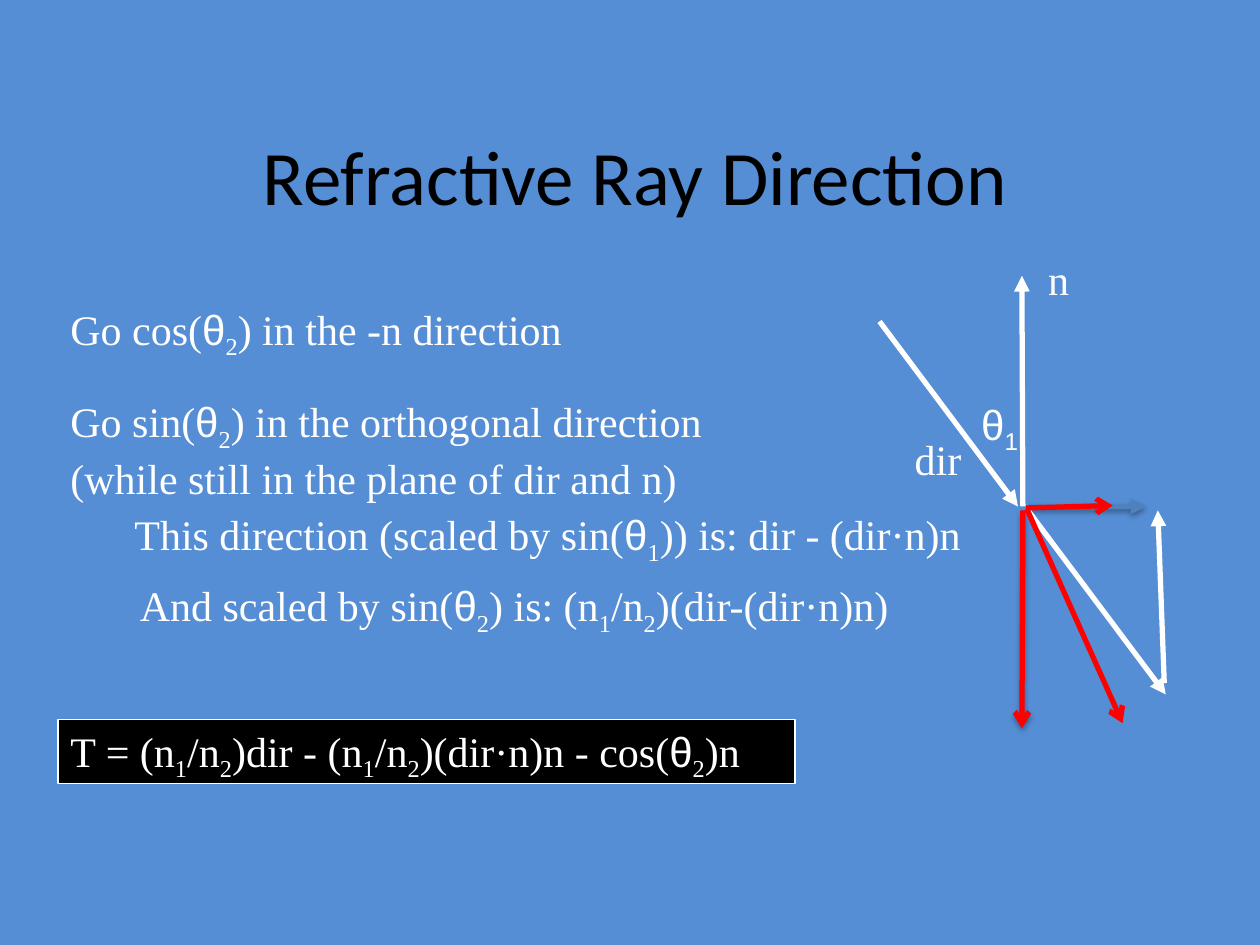
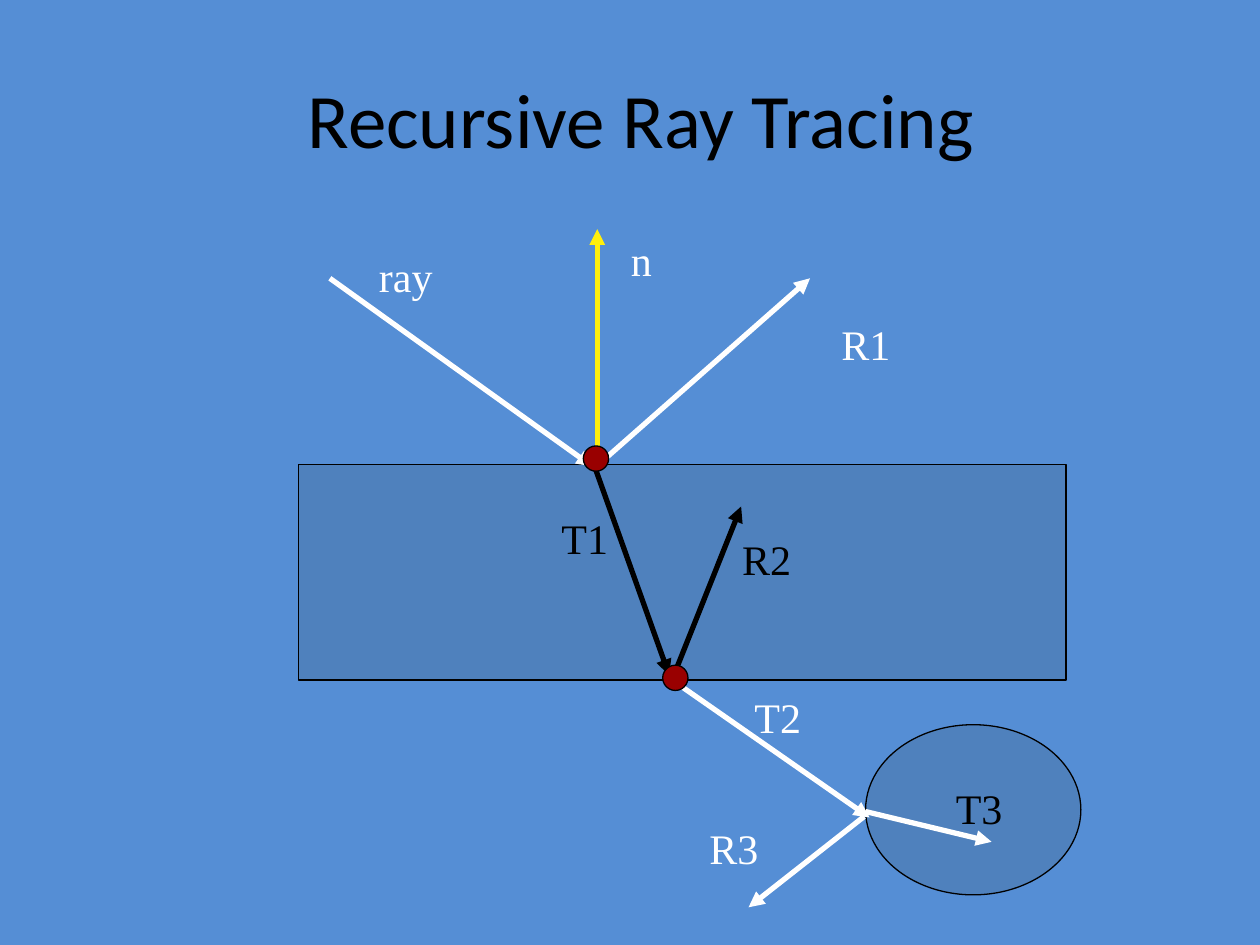
from lxml import etree
from pptx import Presentation
from pptx.dml.color import RGBColor
from pptx.enum.shapes import MSO_CONNECTOR, MSO_SHAPE
from pptx.enum.text import MSO_ANCHOR, PP_ALIGN
from pptx.oxml import parse_xml
from pptx.oxml.ns import nsdecls, qn
from pptx.util import Cm, Pt

STRAIGHT = MSO_CONNECTOR.STRAIGHT
RECT, OVAL = MSO_SHAPE.RECTANGLE, MSO_SHAPE.OVAL
LEFT, CENTER = PP_ALIGN.LEFT, PP_ALIGN.CENTER
TOP, MIDDLE = MSO_ANCHOR.TOP, MSO_ANCHOR.MIDDLE

BACKGROUND = RGBColor(0x55, 0x8E, 0xD5)
GLASS = RGBColor(0x4F, 0x81, 0xBD)
WHITE = RGBColor(0xFF, 0xFF, 0xFF)
BLACK = RGBColor(0x00, 0x00, 0x00)
RED = RGBColor(0xFF, 0x00, 0x00)
YELLOW = RGBColor(0xFF, 0xEF, 0x0C)
HIT_RED = RGBColor(0x99, 0x00, 0x00)

BODY_FONT, TITLE_FONT, SYMBOL_FONT = "Times New Roman", "Calibri", "Arial"
LINE_HEIGHT = 1.27

NO_EFFECT = f"<a:effectLst {nsdecls('a')}/>"
SOFT_SHADOW = (
    f"<a:effectLst {nsdecls('a')}>"
    '<a:outerShdw blurRad="40000" dist="23000" dir="5400000" rotWithShape="0">'
    '<a:srgbClr val="000000"><a:alpha val="35000"/></a:srgbClr>'
    "</a:outerShdw></a:effectLst>"
)


def add_text(slide, text, left, top, width, height=LINE_HEIGHT, *, size=24,
             font=BODY_FONT, color=WHITE, align=LEFT, anchor=TOP, wrap=True):
    """Add a text box; "_" lowers the next character, and θ gets the symbol font."""
    box = slide.shapes.add_textbox(Cm(left), Cm(top), Cm(width), Cm(height))
    frame = box.text_frame
    frame.word_wrap = wrap
    frame.vertical_anchor = anchor
    for index, line in enumerate(text.split("\n")):
        paragraph = frame.paragraphs[0] if index == 0 else frame.add_paragraph()
        paragraph.alignment = align
        marked = line.replace("θ", "|θ|")
        for digit in "12":
            marked = marked.replace("_" + digit, f"|_{digit}|")
        for piece in filter(None, marked.split("|")):
            run = paragraph.add_run()
            run.text = piece.lstrip("_")
            run.font.size = Pt(size)
            run.font.name = SYMBOL_FONT if piece == "θ" else font
            run.font.color.rgb = color
            if piece.startswith("_"):
                run.font._element.set("baseline", "-25000")
    return box


def add_arrow(slide, start, end, color=WHITE, head="triangle", effect=NO_EFFECT):
    arrow = slide.shapes.add_connector(STRAIGHT, *map(Cm, start + end))
    arrow.line.color.rgb = color
    arrow.line.width = Pt(3)
    etree.SubElement(arrow.line._get_or_add_ln(), qn("a:tailEnd"), type=head)
    arrow._element.spPr.append(parse_xml(effect))


prs = Presentation()
prs.slide_width, prs.slide_height = Cm(25.4), Cm(19.05)

# Background and title of both slides
slides = []
for title, left, top in [("Refractive Ray Direction", 2.01, 1.93),
                         ("Recursive Ray Tracing", 2.13, 0.79)]:
    slide = prs.slides.add_slide(prs.slide_layouts[6])
    slide.background.fill.solid()
    slide.background.fill.fore_color.rgb = BACKGROUND
    add_text(slide, title, left, top, 21.59, 3.18, size=44, font=TITLE_FONT,
             color=BLACK, align=CENTER, anchor=MIDDLE)
    slides.append(slide)
refraction, recursion = slides

# Slide 1: derivation
add_text(refraction, "Go cos(θ_2) in the -n direction", 1.17, 5.99, 10.41, wrap=False)
add_text(refraction, "Go sin(θ_2) in the orthogonal direction\n"
         "(while still in the plane of dir and n)", 1.17, 7.85, 18.03, 2.29)
add_text(refraction, "This direction (scaled by sin(θ_1)) is: dir - (dir·n)n",
         2.46, 10.13, 17.32)
add_text(refraction, "And scaled by sin(θ_2) is: (n_1/n_2)(dir-(dir·n)n)",
         2.57, 11.56, 16.1)

# Resulting formula
formula = add_text(refraction, "T = (n_1/n_2)dir - (n_1/n_2)(dir·n)n - cos(θ_2)n",
                   1.17, 14.5, 14.86, 1.3)
formula.fill.solid()
formula.fill.fore_color.rgb = BLACK
formula.line.color.rgb = WHITE
formula.line.width = Pt(0.75)

# Vector diagram
add_text(refraction, "dir", 18.19, 8.61, 1.45, wrap=False)
add_text(refraction, "n", 20.88, 4.98, 0.94, wrap=False)
add_text(refraction, "θ_1", 19.53, 7.9, 1.27, font=SYMBOL_FONT)
add_arrow(refraction, (17.73, 6.48), (20.52, 10.21))
add_arrow(refraction, (20.62, 10.21), (20.6, 5.56))
add_arrow(refraction, (20.75, 10.21), (23.11, 10.21), GLASS, effect=SOFT_SHADOW)
add_arrow(refraction, (20.7, 10.26), (23.5, 14))
add_arrow(refraction, (23.47, 13.77), (23.34, 10.29))
add_arrow(refraction, (20.62, 10.29), (20.6, 14.68), RED, "arrow", SOFT_SHADOW)
add_arrow(refraction, (20.7, 10.26), (22.63, 14.58), RED, "arrow")
add_arrow(refraction, (20.68, 10.24), (22.43, 10.19), RED, "arrow")

# Slide 2: ray names
for name, left, top, width, color, wrap in [
    ("n", 12.47, 4.6, 1.14, WHITE, True),
    ("ray", 7.39, 4.93, 1.6, WHITE, False),
    ("R1", 16.71, 6.3, 1.65, WHITE, True),
    ("T1", 11.07, 10.21, 2.06, BLACK, True),
    ("R2", 14.71, 10.64, 1.5, BLACK, False),
    ("T2", 14.96, 13.82, 1.45, WHITE, False),
    ("R3", 14.05, 16.46, 1.65, WHITE, True),
    ("T3", 19.02, 15.65, 1.45, BLACK, False),
]:
    add_text(recursion, name, left, top, width, color=color, wrap=wrap)
ray_names = list(recursion.shapes)[1:]

# Glass slab and sphere, rays, then hit points on top of them
solids = [(RECT, 6.02, 9.37, 15.47, 4.34, GLASS),
          (OVAL, 17.45, 14.61, 4.34, 3.43, GLASS)]
hit_points = [(OVAL, left, top, 0.51, 0.51, HIT_RED)
              for left, top in [(11.76, 8.99), (13.36, 13.41)]]
rays = [
    ((6.65, 5.61), (11.94, 9.4), WHITE),
    ((12.01, 9.47), (13.49, 13.61), BLACK),
    ((13.64, 13.77), (17.53, 16.48), WHITE),
    ((12.04, 9.37), (12.04, 4.62), YELLOW),
    ((12.06, 9.37), (16.33, 5.61), WHITE),
    ((13.56, 13.67), (14.94, 10.21), BLACK),
    ((17.42, 16.46), (15.09, 18.29), WHITE),
    ((17.45, 16.36), (19.99, 16.97), WHITE),
]
for layer in (solids, hit_points):
    for kind, left, top, width, height, color in layer:
        body = recursion.shapes.add_shape(kind, Cm(left), Cm(top), Cm(width), Cm(height))
        body.shadow.inherit = False
        body.fill.solid()
        body.fill.fore_color.rgb = color
        body.line.color.rgb = BLACK
        body.line.width = Pt(0.75)
    if layer is solids:
        for start, end, color in rays:
            add_arrow(recursion, start, end, color)

# Bring the ray names in front of the solids
for ray_name in ray_names:
    recursion.shapes._spTree.append(ray_name._element)

prs.save("out.pptx")
